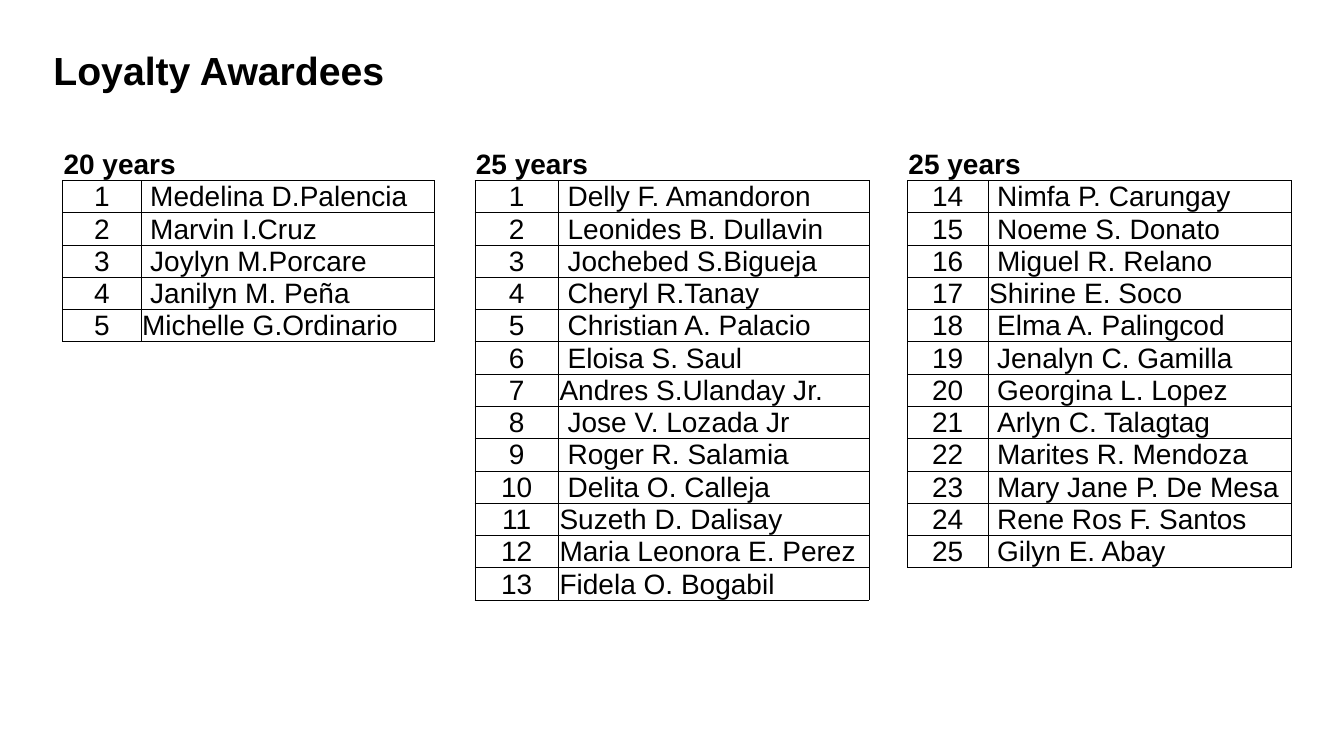
"""Build the Loyalty Awardees slide with three tables of names."""
from lxml import etree
from pptx import Presentation
from pptx.dml.color import RGBColor
from pptx.enum import text
from pptx.oxml import ns
from pptx.util import Inches, Pt

COLORS = {"ink": "000000"}
ROW_HEIGHT = 0.32
INSET = 0.01
NAME_INDENT = 0.08
AWARD_TABLES = [
    ("25 years", 4.71, (0.83, 3.08), 1, [
        "Delly F. Amandoron", "Leonides B. Dullavin", "Jochebed S.Bigueja",
        "Cheryl R.Tanay", "Christian A. Palacio", "Eloisa S. Saul",
        "Andres S.Ulanday Jr.", "Jose V. Lozada Jr", "Roger R. Salamia",
        "Delita O. Calleja", "Suzeth D. Dalisay", "Maria Leonora E. Perez",
        "Fidela O. Bogabil"]),
    ("20 years", 0.62, (0.78, 2.91), 1, [
        "Medelina D.Palencia", "Marvin I.Cruz", "Joylyn M.Porcare",
        "Janilyn M. Peña", "Michelle G.Ordinario"]),
    ("25 years", 9, (0.8, 3.01), 14, [
        "Nimfa P. Carungay", "Noeme S. Donato", "Miguel R. Relano",
        "Shirine E. Soco", "Elma A. Palingcod", "Jenalyn C. Gamilla",
        "Georgina L. Lopez", "Arlyn C. Talagtag", "Marites R. Mendoza",
        "Mary Jane P. De Mesa", "Rene Ros F. Santos", "Gilyn E. Abay"]),
]
FLUSH_NAMES = {
    "Andres S.Ulanday Jr.", "Suzeth D. Dalisay", "Maria Leonora E. Perez",
    "Fidela O. Bogabil", "Michelle G.Ordinario", "Shirine E. Soco"}


def write(frame, words, size=20, bold=False, align=text.PP_ALIGN.LEFT, spacing=None):
    """Put formatted words in a text frame."""
    paragraph = frame.paragraphs[0]
    paragraph.alignment = align
    paragraph.line_spacing = spacing
    run = paragraph.add_run()
    run.text = words
    run.font.name = "Arial"
    run.font.size = Pt(size)
    run.font.bold = bold
    run.font.color.rgb = RGBColor.from_string(COLORS["ink"])


def format_cell(cell, sides, indent=0):
    """Set insets, borders and an empty fill on a cell."""
    cell.vertical_anchor = text.MSO_ANCHOR.BOTTOM
    cell.margin_left = Inches(INSET + indent)
    cell.margin_right = cell.margin_top = Inches(INSET)
    cell.margin_bottom = 0
    properties = cell._tc.get_or_add_tcPr()
    for side in sides:
        line = etree.SubElement(properties, ns.qn(f"a:ln{side}"), w=str(Pt(0.5)))
        fill = etree.SubElement(line, ns.qn("a:solidFill"))
        etree.SubElement(fill, ns.qn("a:srgbClr"), val=COLORS["ink"])
    cell.fill.background()


presentation = Presentation()
presentation.slide_width = Inches(13.33)
presentation.slide_height = Inches(7.5)
slide = presentation.slides.add_slide(presentation.slide_layouts[5])

title = slide.shapes.title
title.left, title.top = Inches(0.43), Inches(0)
title.width, title.height = Inches(11.5), Inches(1.45)
title.text_frame.vertical_anchor = text.MSO_ANCHOR.MIDDLE
title.text_frame.auto_size = text.MSO_AUTO_SIZE.NONE
write(title.text_frame, "Loyalty Awardees", size=28, bold=True, spacing=0.9)

for heading, left, widths, first_number, names in AWARD_TABLES:
    row_count = len(names) + 1
    frame = slide.shapes.add_table(
        row_count, 2, Inches(left), Inches(1.47),
        Inches(sum(widths)), Inches(ROW_HEIGHT * row_count))
    table = frame.table
    table.first_row = table.horz_banding = False
    for column, width in zip(table.columns, widths):
        column.width = Inches(width)
    for row in table.rows:
        row.height = Inches(ROW_HEIGHT)

    for cell in table.rows[0].cells:
        format_cell(cell, "B")
    table.cell(0, 0).merge(table.cell(0, 1))
    write(table.cell(0, 0).text_frame, heading, bold=True)

    for index, name in enumerate(names, 1):
        number_cell, name_cell = table.cell(index, 0), table.cell(index, 1)
        format_cell(number_cell, "LRTB")
        write(number_cell.text_frame, str(first_number + index - 1),
              align=text.PP_ALIGN.CENTER)
        format_cell(name_cell, "LRTB", 0 if name in FLUSH_NAMES else NAME_INDENT)
        write(name_cell.text_frame, name)

presentation.save("out.pptx")
